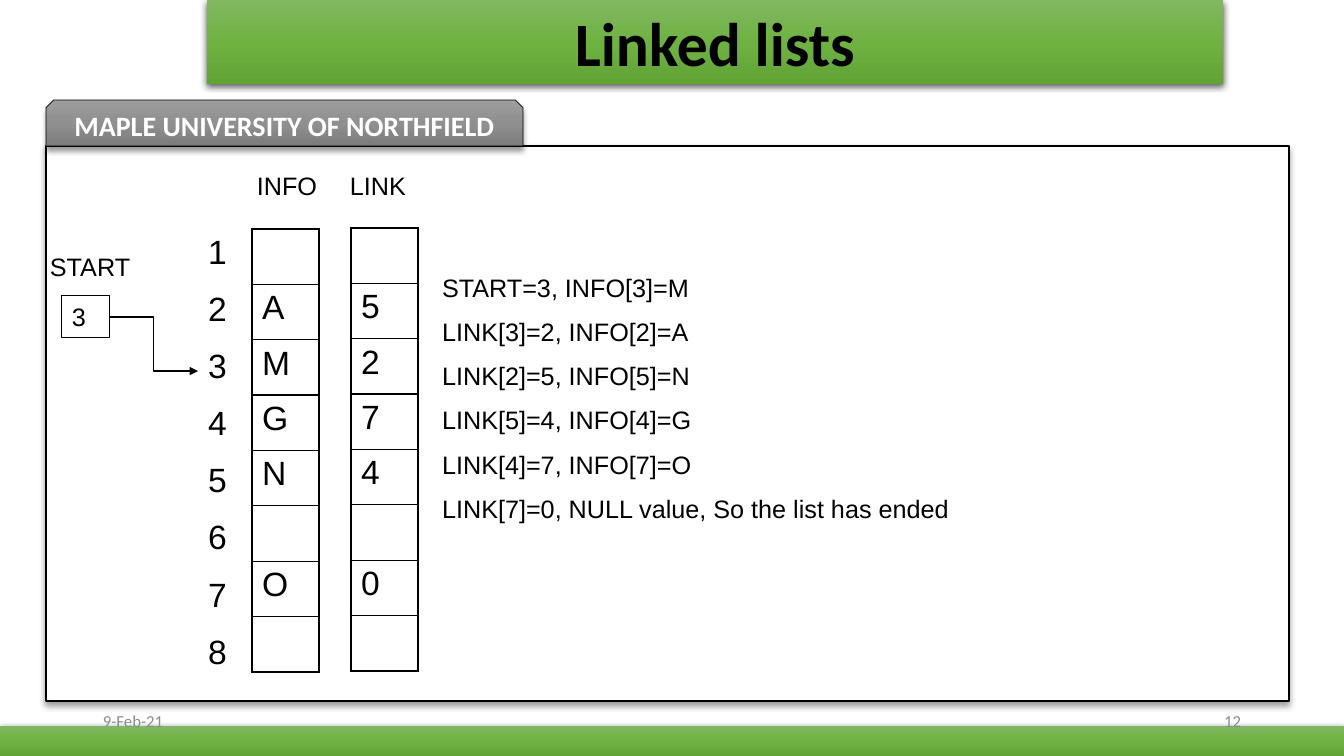
from copy import deepcopy

from lxml import etree
from pptx import Presentation, util as u
from pptx.dml.color import RGBColor
from pptx.enum import shapes, text
from pptx.oxml.ns import qn

PX = 914400 / 100.8
GREEN = ("81B861", "6FB242", "62A336")
GREY = ("9D9D9D", "909090", "7C7C7C")
LABEL = dict(name="Arial", size=u.Pt(18), color="000000")
CELL = dict(LABEL, size=u.Pt(24))
FOOTER = dict(name="Calibri", size=u.Pt(12), color="8C8C8C")
TITLE = dict(name="Calibri", size=u.Pt(44), color="000000", bold=True)
TAB = dict(name="Calibri", size=u.Pt(20), color="FFFFFF", bold=True)
BAR_SHADOW = (63, 4.5, 1.5)
PANEL_SHADOW = (40, 4, 3)
CENTER, RIGHT = text.PP_ALIGN.CENTER, text.PP_ALIGN.RIGHT
MIDDLE = text.MSO_ANCHOR.MIDDLE

INFO = ["", "A", "M", "G", "N", "", "O", ""]
LINK = ["", "5", "2", "7", "4", "", "0", ""]
STEPS = [
    "START=3, INFO[3]=M",
    "LINK[3]=2, INFO[2]=A",
    "LINK[2]=5, INFO[5]=N",
    "LINK[5]=4, INFO[4]=G",
    "LINK[4]=7, INFO[7]=O",
    "LINK[7]=0, NULL value, So the list has ended",
]


def px(*lengths):
    return [round(n * PX) for n in lengths]


def rgb(color):
    return RGBColor.from_string(color)


def sub(parent, tag, **attrs):
    """Append a DrawingML child element."""
    return etree.SubElement(parent, qn("a:" + tag),
                            {k: str(v) for k, v in attrs.items()})


def write(tf, lines, style, align=None, anchor=None, before=0):
    """Fill a text frame, one paragraph for each line."""
    tf.word_wrap = True
    if anchor is not None:
        tf.vertical_anchor = anchor
    for i, line in enumerate(lines):
        p = tf.paragraphs[0] if i == 0 else tf.add_paragraph()
        p.alignment = align
        p.space_before = u.Pt(before)
        r = p.add_run()
        r.text = line
        for key, value in style.items():
            if key == "color":
                r.font.color.rgb = rgb(value)
            else:
                setattr(r.font, key, value)


def place(sp, box):
    sp.left, sp.top, sp.width, sp.height = px(*box)


def paint(sp, fill=None, line=None, shadow=None):
    """Fill is None, one colour or three gradient colours; line is a width."""
    if fill is None:
        sp.fill.background()
    elif isinstance(fill, str):
        sp.fill.solid()
        sp.fill.fore_color.rgb = rgb(fill)
    else:
        sp.fill.gradient()
        sp.fill.gradient_angle = 270
        stops = sp._element.spPr.find(".//" + qn("a:gsLst"))
        stops.insert(1, deepcopy(stops[0]))
        for stop, color, position in zip(sp.fill.gradient_stops, fill, (0, 0.5, 1)):
            stop.color.rgb = rgb(color)
            stop.position = position
    if line:
        sp.line.color.rgb = rgb("000000")
        sp.line.width = u.Pt(line)
    else:
        sp.line.fill.background()
    sp.shadow.inherit = False
    if shadow:
        alpha, blur, dist = shadow
        effects = sp._element.spPr.find(qn("a:effectLst"))
        outer = sub(effects, "outerShdw", blurRad=u.Pt(blur), dist=u.Pt(dist),
                    dir=90 * 60000, rotWithShape=0)
        sub(sub(outer, "srgbClr", val="000000"), "alpha", val=alpha * 1000)


def add_box(s, box, kind=shapes.MSO_SHAPE.RECTANGLE, **look):
    sp = s.shapes.add_shape(kind, *px(*box))
    paint(sp, **look)
    return sp


def add_label(s, words, box, style=LABEL, **layout):
    sp = s.shapes.add_textbox(*px(*box))
    write(sp.text_frame, [words], style, **layout)


def add_border(cell, side, width):
    ln = sub(cell._tc.get_or_add_tcPr(), "ln" + side, w=u.Pt(width))
    sub(sub(ln, "solidFill"), "srgbClr", val="000000")


def add_column(s, values, box, bordered=True):
    """Draw an array as a one-column table."""
    last = len(values) - 1
    table = s.shapes.add_table(len(values), 1, *px(*box)).table
    table.first_row = table.horz_banding = False
    for i, value in enumerate(values):
        table.rows[i].height = round(box[3] * PX / len(values))
        cell = table.cell(i, 0)
        if bordered:
            widths = dict(L=2.25, R=2.25, T=1 if i else 2.25,
                          B=1 if i < last else 2.25)
            for side, width in widths.items():
                add_border(cell, side, width)
        cell.fill.background()
        if value:
            write(cell.text_frame, [value], CELL)


def add_elbow_arrow(s, source, end):
    start = source.left + source.width, source.top + source.height // 2
    arrow = s.shapes.add_connector(shapes.MSO_CONNECTOR.ELBOW, *start, *px(*end))
    arrow.begin_connect(source, 3)
    arrow.line.color.rgb = rgb("000000")
    arrow.line.width = u.Pt(0.75)
    sub(arrow.line._get_or_add_ln(), "tailEnd", type="triangle")
    sub(arrow._element.spPr, "effectLst")


def add_steps(s, body):
    """Format the body placeholder as a list without bullets, above the panel."""
    place(body, (432, 267, 551, 268))
    tf = body.text_frame
    write(tf, STEPS, LABEL, before=10)
    tf.auto_size = text.MSO_AUTO_SIZE.NONE
    for p in tf.paragraphs:
        pPr = p._p.get_or_add_pPr()
        pPr.set("marL", "0")
        pPr.set("indent", "0")
        sub(pPr, "buNone")
    s.shapes._spTree.append(body._element)


def main():
    prs = Presentation()
    prs.slide_width, prs.slide_height = px(1344, 756)
    s = prs.slides.add_slide(prs.slide_layouts[1])
    title, body = s.placeholders

    place(title, (207, 0, 1016, 84))
    paint(title, GREEN, shadow=BAR_SHADOW)
    write(title.text_frame, ["Linked lists"], TITLE, CENTER, MIDDLE)

    add_box(s, (0, 726, 1344, 30), fill=GREEN, shadow=BAR_SHADOW)
    add_box(s, (46, 146, 1243, 555), fill="FFFFFF", line=1, shadow=PANEL_SHADOW)
    tab = add_box(s, (46, 100, 477, 46), shapes.MSO_SHAPE.SNIP_2_SAME_RECTANGLE,
                  fill=GREY, line=0.5, shadow=PANEL_SHADOW)
    write(tab.text_frame, ["MAPLE UNIVERSITY OF NORTHFIELD"], TAB, CENTER, MIDDLE)
    add_label(s, "9-Feb-21", (93, 701, 302, 40), FOOTER, anchor=MIDDLE)
    add_label(s, "12", (949, 701, 302, 40), FOOTER, align=RIGHT, anchor=MIDDLE)

    indexes = [str(i + 1) for i in range(len(INFO))]
    add_column(s, indexes, (198, 229, 47, 457), bordered=False)
    add_column(s, INFO, (252, 229, 67, 443))
    add_column(s, LINK, (351, 228, 67, 443))
    add_label(s, "INFO", (247, 165, 93, 40))
    add_label(s, "LINK", (340, 165, 93, 40))

    add_label(s, "START", (40, 246, 114, 40))
    start = add_box(s, (62, 296, 48, 42), line=0.75)
    write(start.text_frame, ["3"], LABEL, text.PP_ALIGN.LEFT, text.MSO_ANCHOR.TOP)
    add_elbow_arrow(s, start, (198, 371))
    add_steps(s, body)

    prs.save("out.pptx")


if __name__ == "__main__":
    main()
